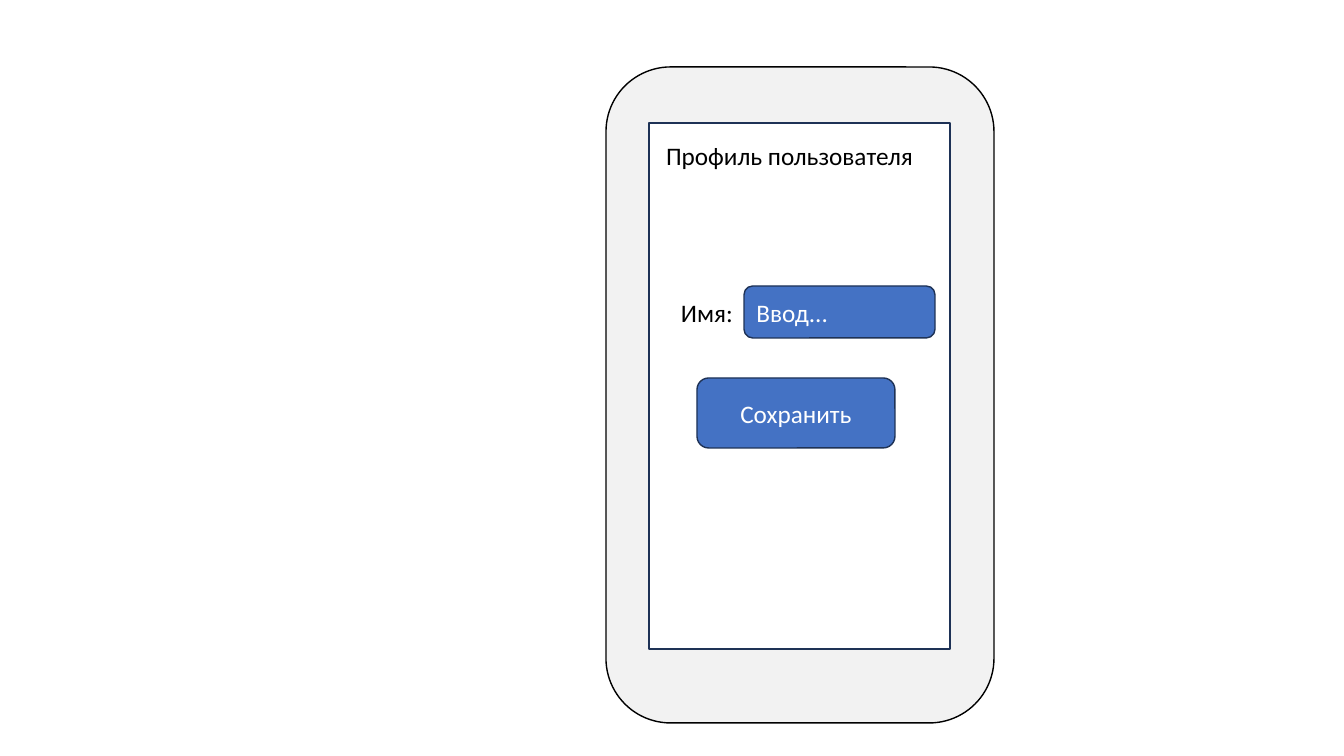
import pptx
import pptx.util
import pptx.dml.color
import pptx.enum.shapes
import pptx.enum.text

SHAPE = pptx.enum.shapes.MSO_SHAPE
ALIGN = pptx.enum.text.PP_ALIGN
ANCHOR = pptx.enum.text.MSO_ANCHOR

COLORS = {"body": "F2F2F2", "screen": "FFFFFF", "control": "4472C4",
          "edge": "1E3256", "ink": "000000", "light": "FFFFFF"}
PHONE = [
    (SHAPE.ROUNDED_RECTANGLE, (606, 67, 388, 656), "body", "ink"),
    (SHAPE.RECTANGLE, (649, 123, 301, 526), "screen", "edge"),
]
HEADING = ("Профиль пользователя", (656, 135, 302, 40))
NAME_LABEL = ("Имя:", (671, 292, 302, 40))
CONTROLS = [
    ("Ввод...", (744, 286, 191, 52), ALIGN.LEFT),
    ("Сохранить", (697, 378, 198, 70), ALIGN.CENTER),
]
SCALE = 914400 / 100.8


def emu(pixels):
    return pptx.util.Emu(round(pixels * SCALE))


def rgb(name):
    return pptx.dml.color.RGBColor.from_string(COLORS[name])


def panel(shapes, preset, box, fill, edge):
    part = shapes.add_shape(preset, *map(emu, box))
    part.shadow.inherit = False
    part.fill.solid()
    part.fill.fore_color.rgb = rgb(fill)
    part.line.color.rgb = rgb(edge)
    part.line.width = pptx.util.Pt(1)
    return part


def write(part, text, color, align, anchor):
    frame = part.text_frame
    frame.text = text
    frame.word_wrap = True
    frame.vertical_anchor = anchor
    paragraph = frame.paragraphs[0]
    paragraph.alignment = align
    font = paragraph.runs[0].font
    for key, value in {"name": "Calibri", "size": pptx.util.Pt(18)}.items():
        setattr(font, key, value)
    font.color.rgb = rgb(color)


deck = pptx.Presentation()
deck.slide_width, deck.slide_height = emu(1344), emu(756)
slide = deck.slides.add_slide(deck.slide_layouts[5])

phone = slide.shapes.add_group_shape()
for preset, box, fill, edge in PHONE:
    panel(phone.shapes, preset, box, fill, edge)

heading = slide.shapes.title
phone.element.addnext(heading.element)
for side, pixels in zip(("left", "top", "width", "height"), HEADING[1]):
    setattr(heading, side, emu(pixels))
name_label = slide.shapes.add_textbox(*map(emu, NAME_LABEL[1]))
for part, text in ((heading, HEADING[0]), (name_label, NAME_LABEL[0])):
    write(part, text, "ink", ALIGN.LEFT, ANCHOR.TOP)
    part.text_frame.auto_size = pptx.enum.text.MSO_AUTO_SIZE.SHAPE_TO_FIT_TEXT

for text, box, align in CONTROLS:
    control = panel(slide.shapes, SHAPE.ROUNDED_RECTANGLE, box, "control", "edge")
    write(control, text, "light", align, ANCHOR.MIDDLE)

deck.save("out.pptx")
